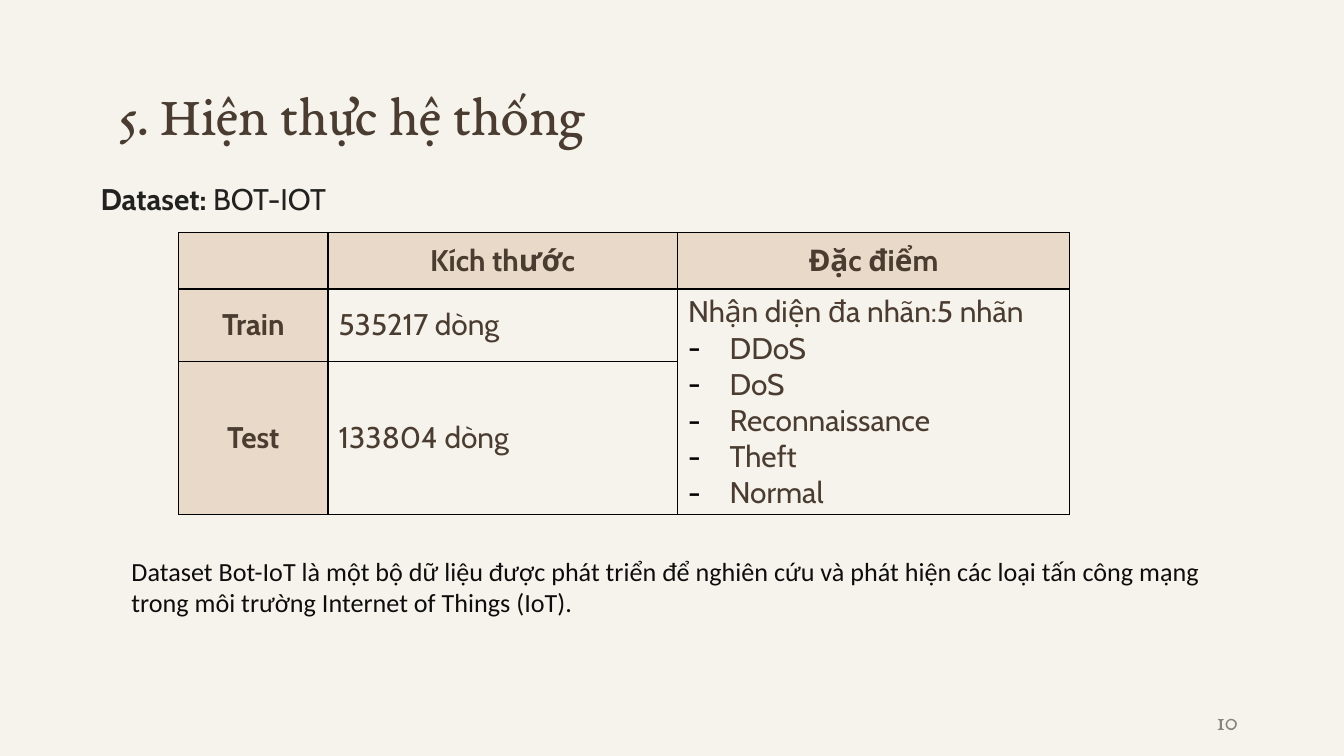
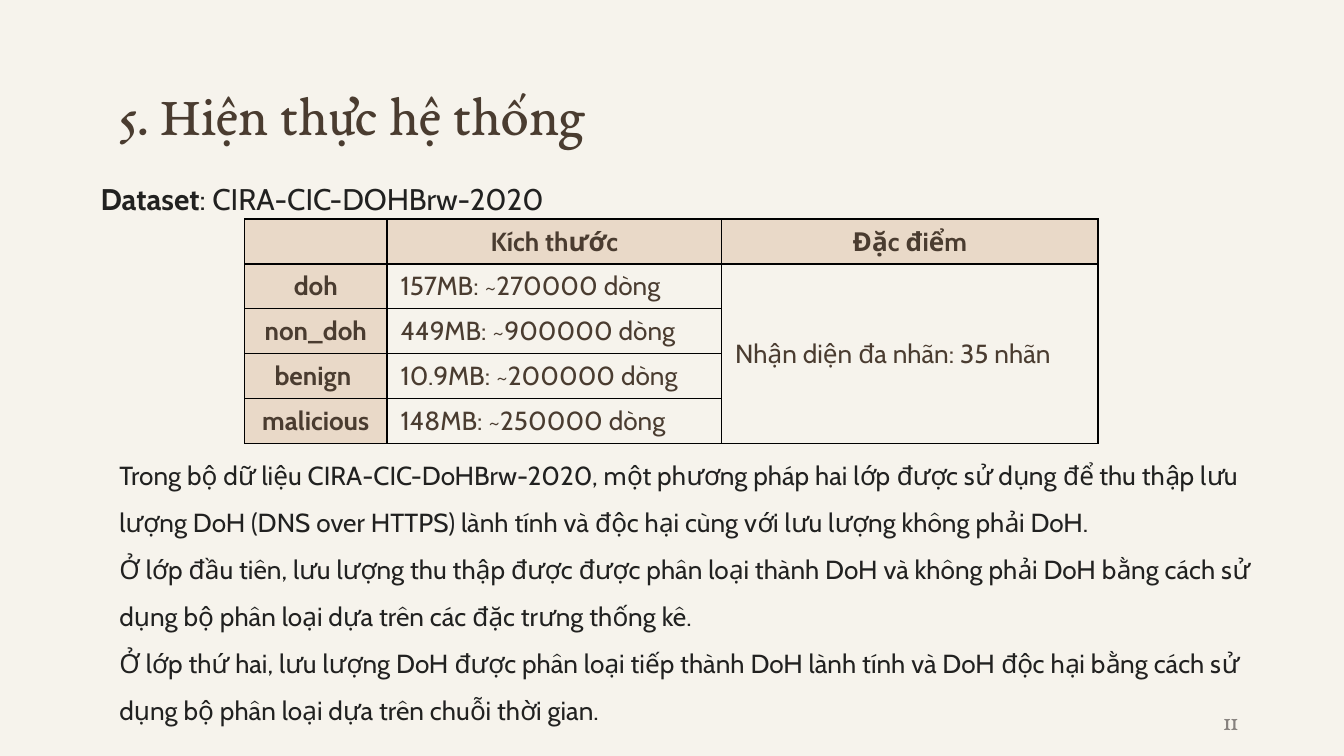
"""Build two slides that describe the training datasets of a detection system."""
from dataclasses import dataclass

from lxml import etree
from pptx import Presentation
from pptx.dml.color import RGBColor
from pptx.enum.text import MSO_ANCHOR, PP_ALIGN
from pptx.oxml.ns import qn
from pptx.util import Inches, Pt

TOP, MIDDLE = MSO_ANCHOR.TOP, MSO_ANCHOR.MIDDLE
LEFT, CENTER, RIGHT = PP_ALIGN.LEFT, PP_ALIGN.CENTER, PP_ALIGN.RIGHT


@dataclass(frozen=True)
class Theme:
    paper: str = "F6F3EC"
    brown: str = "4A3C30"
    ink: str = "212120"
    near_black: str = "0D0D0D"
    gray: str = "86817E"
    sand: str = "E9D9C8"
    border: str = "000000"
    border_width: float = 0.75
    serif: str = "EB Garamond"
    sans: str = "Cabin"
    plain: str = "Calibri"
    title_size: int = 30
    lead_size: int = 16
    body_size: int = 14


THEME = Theme()


def add_spans(para, spans, size, color, font):
    for text, bold in spans:
        span = para.add_run()
        span.text = text
        span.font.size = Pt(size)
        span.font.bold = bold
        span.font.name = font
        span.font.color.rgb = RGBColor.from_string(color)


def add_box(page, at, paragraphs, size, color, font, inset=0.1, spacing=None, align=LEFT, anchor=TOP):
    frame = page.shapes.add_textbox(*map(Inches, at)).text_frame
    frame.word_wrap = True
    frame.vertical_anchor = anchor
    frame.margin_left = frame.margin_right = Inches(0.1)
    frame.margin_top = frame.margin_bottom = Inches(inset)
    for index, spans in enumerate(paragraphs):
        para = frame.add_paragraph() if index else frame.paragraphs[0]
        para.alignment = align
        if spacing:
            para.line_spacing = spacing
        add_spans(para, spans, size, color, font)


HEADER = ["", "Kích thước", "Đặc điểm"]
PAGES = [
    {
        "number": "10",
        "lead": [("Dataset: ", True), ("BOT-IOT", False)],
        "table_at": (1.33, 1.73, 6.63, 2.11),
        "columns": [1.11, 2.6, 2.92],
        "rows": [0.42, 0.54, 0.93],
        "margins": (0.08, 0.04),
        "size": THEME.lead_size,
        "sizes": [("Train", "535217 dòng"), ("Test", "133804 dòng")],
        "feature": "Nhận diện đa nhãn:5 nhãn ",
        "labels": ["DDoS", "DoS", "Reconnaissance", "Theft", "Normal"],
        "note_at": (0.88, 4.08, 8.16, 0.57),
        "note_style": {"color": THEME.near_black, "font": THEME.plain, "inset": 0.05},
        "notes": [
            "Dataset Bot-IoT là một bộ dữ liệu được phát triển để nghiên cứu và phát hiện "
            "các loại tấn công mạng trong môi trường Internet of Things (IoT). ",
        ],
    },
    {
        "number": "11",
        "lead": [("Dataset", True), (": CIRA-CIC-DOHBrw-2020", False)],
        "table_at": (1.82, 1.63, 6.36, 1.67),
        "columns": [1.06, 2.49, 2.8],
        "rows": [0.27] * 5,
        "margins": (0.1, 0.05),
        "size": THEME.body_size,
        "sizes": [
            ("doh", "157MB: ~270000 dòng"),
            ("non_doh", "449MB: ~900000 dòng"),
            ("benign ", "10.9MB: ~200000 dòng"),
            ("malicious", "148MB: ~250000 dòng"),
        ],
        "feature": "Nhận diện đa nhãn: 35 nhãn",
        "labels": [],
        "note_at": (0.79, 3.2, 8.82, 1.94),
        "note_style": {"color": THEME.ink, "font": THEME.sans, "spacing": 1.5},
        "notes": [
            "Trong bộ dữ liệu CIRA-CIC-DoHBrw-2020, một phương pháp hai lớp được sử dụng để "
            "thu thập lưu lượng DoH (DNS over HTTPS) lành tính và độc hại cùng với lưu lượng "
            "không phải DoH.",
            "Ở lớp đầu tiên, lưu lượng thu thập được được phân loại thành DoH và không phải "
            "DoH bằng cách sử dụng bộ phân loại dựa trên các đặc trưng thống kê.",
            "Ở lớp thứ hai, lưu lượng DoH được phân loại tiếp thành DoH lành tính và DoH độc "
            "hại bằng cách sử dụng bộ phân loại dựa trên chuỗi thời gian.",
        ],
    },
]

deck = Presentation()
deck.slide_width = Inches(10)
deck.slide_height = Inches(10) * 9 // 16

for content in PAGES:
    page = deck.slides.add_slide(deck.slide_layouts[6])
    page.background.fill.solid()
    page.background.fill.fore_color.rgb = RGBColor.from_string(THEME.paper)

    add_box(page, (0.79, 0.49, 8.43, 0.63), [[("5. Hiện thực hệ thống", False)]],
            THEME.title_size, THEME.brown, THEME.serif)
    add_box(page, (0.65, 1.11, 8.82, 0.63), [content["lead"]],
            THEME.lead_size, THEME.ink, THEME.sans, spacing=1.5)
    add_box(page, (7.06, 5.21, 2.25, 0.3), [[(content["number"], False)]],
            THEME.body_size, THEME.gray, THEME.serif, inset=0.05, align=RIGHT, anchor=MIDDLE)

    columns, rows = content["columns"], content["rows"]
    holder = page.shapes.add_table(len(rows), len(columns), *map(Inches, content["table_at"]))
    table = holder.table
    table.first_row = table.horz_banding = False
    for column, width in zip(table.columns, columns):
        column.width = Inches(width)
    for row, height in zip(table.rows, rows):
        row.height = Inches(height)
    holder.width, holder.height = map(Inches, content["table_at"][2:])

    grid = [HEADER] + [[name, amount, ""] for name, amount in content["sizes"]]
    grid[1][2] = content["feature"]
    for row_index, texts in enumerate(grid):
        for column_index, text in enumerate(texts):
            cell = table.cell(row_index, column_index)
            heading = row_index == 0 or column_index == 0
            cell.vertical_anchor = MIDDLE
            cell.margin_left = cell.margin_right = Inches(content["margins"][0])
            cell.margin_top = cell.margin_bottom = Inches(content["margins"][1])
            if heading:
                cell.fill.solid()
                cell.fill.fore_color.rgb = RGBColor.from_string(THEME.sand)
            else:
                cell.fill.background()
            properties = cell._tc.get_or_add_tcPr()
            for position, side in enumerate(("a:lnL", "a:lnR", "a:lnT", "a:lnB")):
                line = etree.Element(qn(side), w=str(Pt(THEME.border_width)))
                paint = etree.SubElement(line, qn("a:solidFill"))
                etree.SubElement(paint, qn("a:srgbClr"), val=THEME.border)
                properties.insert(position, line)
            para = cell.text_frame.paragraphs[0]
            para.alignment = CENTER if heading else LEFT
            if text:
                add_spans(para, [(text, heading)], content["size"], THEME.brown, THEME.sans)
            else:
                etree.SubElement(para._p, qn("a:endParaRPr"), sz=str(content["size"] * 100))

    feature_cell = table.cell(1, 2)
    for label in content["labels"]:
        para = feature_cell.text_frame.add_paragraph()
        add_spans(para, [(label, False)], content["size"], THEME.brown, THEME.sans)
        layout = para._p.get_or_add_pPr()
        layout.set("marL", str(Inches(0.31)))
        layout.set("indent", str(Inches(-0.31)))
        bullet_color = etree.SubElement(layout, qn("a:buClr"))
        etree.SubElement(bullet_color, qn("a:srgbClr"), val=THEME.border)
        etree.SubElement(layout, qn("a:buFont"), typeface=THEME.sans)
        etree.SubElement(layout, qn("a:buChar"), char="-")
    feature_cell.merge(table.cell(len(rows) - 1, 2))

    add_box(page, content["note_at"], [[(note, False)] for note in content["notes"]],
            THEME.body_size, **content["note_style"])

deck.save("out.pptx")
